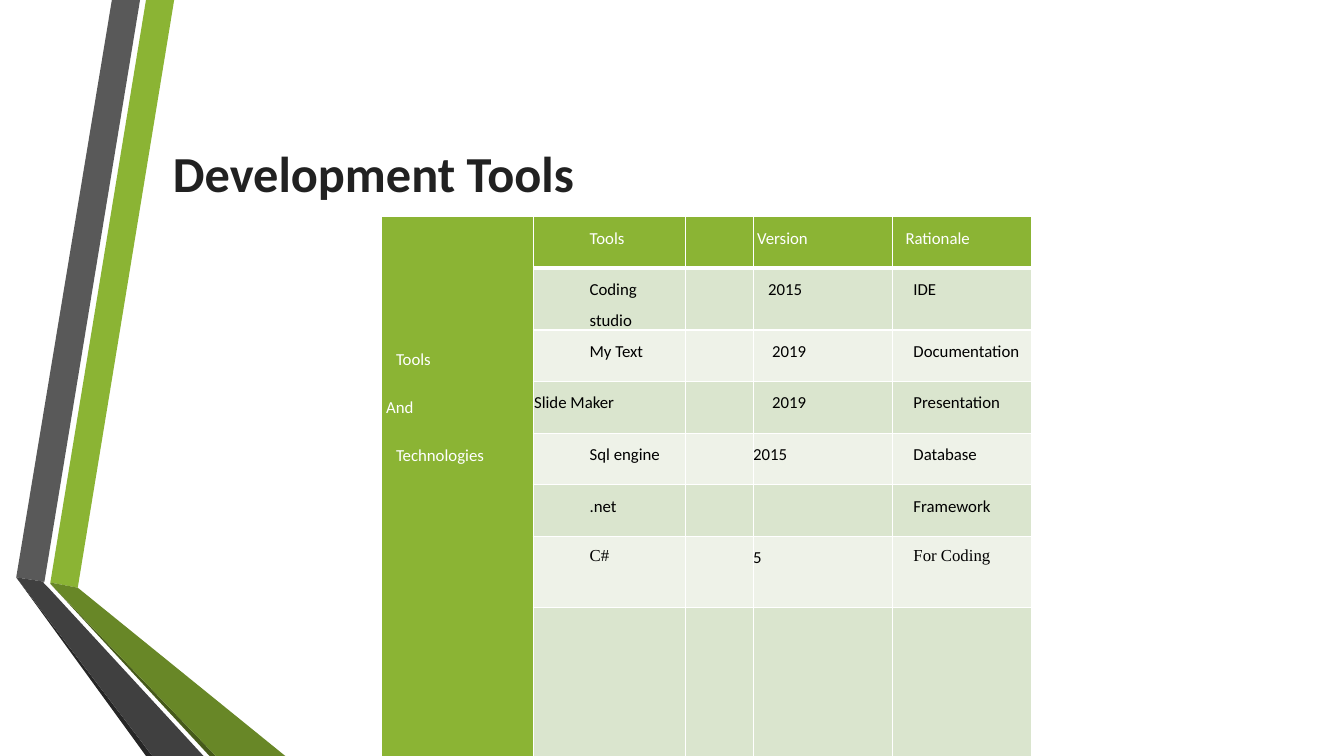
from lxml.etree import SubElement
from pptx import Presentation
from pptx.dml.color import RGBColor
from pptx.enum.text import MSO_ANCHOR, PP_ALIGN
from pptx.oxml.ns import qn
from pptx.util import Cm, Pt

HUES = {
    "white": "FFFFFF", "black": "000000", "title": "212121",
    "green": "8BB434", "moss": "688727", "olive": "465A1A",
    "grey": "595959", "dark": "404040", "coal": "262626",
    "band": "DAE5CE", "pale": "EEF2E8",
}
FOOT = 19.05

# Ribbon facets: colour and corners in cm, back to front
RIBBON = [
    ("green", [(1.27, 14.68), (1.96, 14.81), (4.39, 0), (3.68, 0)]),
    ("grey", [(3.53, 0), (2.82, 0), (0.41, 14.55), (1.12, 14.66)]),
    ("coal", [(0.41, 14.55), (3.68, FOOT), (3.84, FOOT)]),
    ("olive", [(1.27, 14.71), (5.28, FOOT), (5.44, FOOT)]),
    ("moss", [(1.27, 14.71), (5.44, FOOT), (7.19, FOOT),
              (1.96, 14.81), (1.27, 14.68)]),
    ("dark", [(5.13, FOOT), (1.22, 14.81), (1.09, 14.68),
              (1.12, 14.66), (0.41, 14.55), (3.84, FOOT)]),
]

# Table rows: text and left indent in cm for each column after the first
SERIF = "Times New Roman"
TOOLS = [
    [("Tools", 1.42), None, ("Version", 0.1), ("Rationale", 0.33)],
    [("Coding studio", 1.42), None, ("2015", 0.38), ("IDE", 0.53)],
    [("My Text", 1.42), None, ("2019", 0.48), ("Documentation", 0.53)],
    [("Slide Maker", 0.02), None, ("2019", 0.48), ("Presentation", 0.53)],
    [("Sql engine", 1.42), None, ("2015", 0), ("Database", 0.53)],
    [(".net", 1.42), None, None, ("Framework", 0.53)],
    [("C#", 1.42, SERIF), None, ("5", 0), ("For Coding", 0.53, SERIF)],
    [None] * 4,
]
SIDE = [("Tools", 0.38, 12.3), ("And", 0.13, 12.2), ("Technologies", 0.38, 0)]
COLS = [3.84, 3.84, 1.7, 3.51, 3.51]
ROWS = [1.3] * 6 + [1.8, 0.76]


def rgb(name):
    return RGBColor.from_string(HUES[name])


def write(para, text, size=12, font="Calibri", hue="black", bold=False,
          align=PP_ALIGN.JUSTIFY, left=0, lead=1.5, after=0):
    para.alignment = align
    para.line_spacing = lead
    para.space_after = Pt(after)
    props = para._p.get_or_add_pPr()
    props.set("marL", str(Cm(left)))
    props.set("indent", "0")
    run = para.add_run()
    run.text = text
    run.font.size = Pt(size)
    run.font.name = font
    run.font.bold = bold
    run.font.color.rgb = rgb(hue)


class Deck:
    def __init__(self):
        self.file = Presentation()
        self.file.slide_width = Cm(33.87)
        self.file.slide_height = Cm(FOOT)
        self.slide = self.file.slides.add_slide(self.file.slide_layouts[6])

    def facet(self, hue, points):
        first, *rest = [(Cm(x), Cm(y)) for x, y in points]
        form = self.slide.shapes.build_freeform(*first)
        form.add_line_segments(rest, close=True)
        shape = form.convert_to_shape()
        shape.shadow.inherit = False
        shape.fill.solid()
        shape.fill.fore_color.rgb = rgb(hue)
        shape.line.fill.background()

    def title(self, text, *box):
        frame = self.slide.shapes.add_textbox(*map(Cm, box)).text_frame
        frame.word_wrap = True
        frame.vertical_anchor = MSO_ANCHOR.MIDDLE
        write(frame.paragraphs[0], text, size=36, hue="title", bold=True,
              align=PP_ALIGN.LEFT, lead=1)

    def table(self, left, top, cols, rows):
        box = map(Cm, (left, top, sum(cols), sum(rows)))
        grid = self.slide.shapes.add_table(len(rows), len(cols), *box).table
        for col, width in zip(grid.columns, cols):
            col.width = Cm(width)
        for row, height in zip(grid.rows, rows):
            row.height = Cm(height)
        return grid

    def cell(self, cell, hue, base=1):
        cell.margin_left = cell.margin_bottom = 0
        cell.margin_top, cell.margin_right = Cm(0.03), Cm(0.18)
        props = cell._tc.get_or_add_tcPr()
        for side, width in zip("LRTB", (1, 1, 1, base)):
            line = SubElement(props, qn("a:ln" + side), w=str(Pt(width)))
            fill = SubElement(line, qn("a:solidFill"))
            SubElement(fill, qn("a:srgbClr"), val=HUES["white"])
        cell.fill.solid()
        cell.fill.fore_color.rgb = rgb(hue)


def main():
    deck = Deck()

    # Folded ribbon at the left
    for hue, points in RIBBON:
        deck.facet(hue, points)

    # Title
    deck.title("Development Tools", 4.11, 1.9, 27.84, 4.88)

    # Header row and banded body
    grid = deck.table(9.6, 5.46, COLS, ROWS)
    for r, row in enumerate(TOOLS):
        head = r == 0
        hue = "green" if head else "band" if r % 2 else "pale"
        for c, item in enumerate(row, 1):
            cell = grid.cell(r, c)
            deck.cell(cell, hue, 3 if head else 1)
            if item:
                text, left, *font = item
                write(cell.text_frame.paragraphs[0], text, left=left,
                      font=font[0] if font else "Calibri",
                      hue="white" if head else "black")

    # Merged side heading
    side = grid.cell(0, 0)
    side.merge(grid.cell(len(ROWS) - 1, 0))
    deck.cell(side, "green", 3)
    side.margin_top = Cm(3.1)
    frame = side.text_frame
    for i, (text, left, after) in enumerate(SIDE):
        para = frame.add_paragraph() if i else frame.paragraphs[0]
        write(para, text, left=left, after=after, hue="white")

    deck.file.save("out.pptx")


if __name__ == "__main__":
    main()
